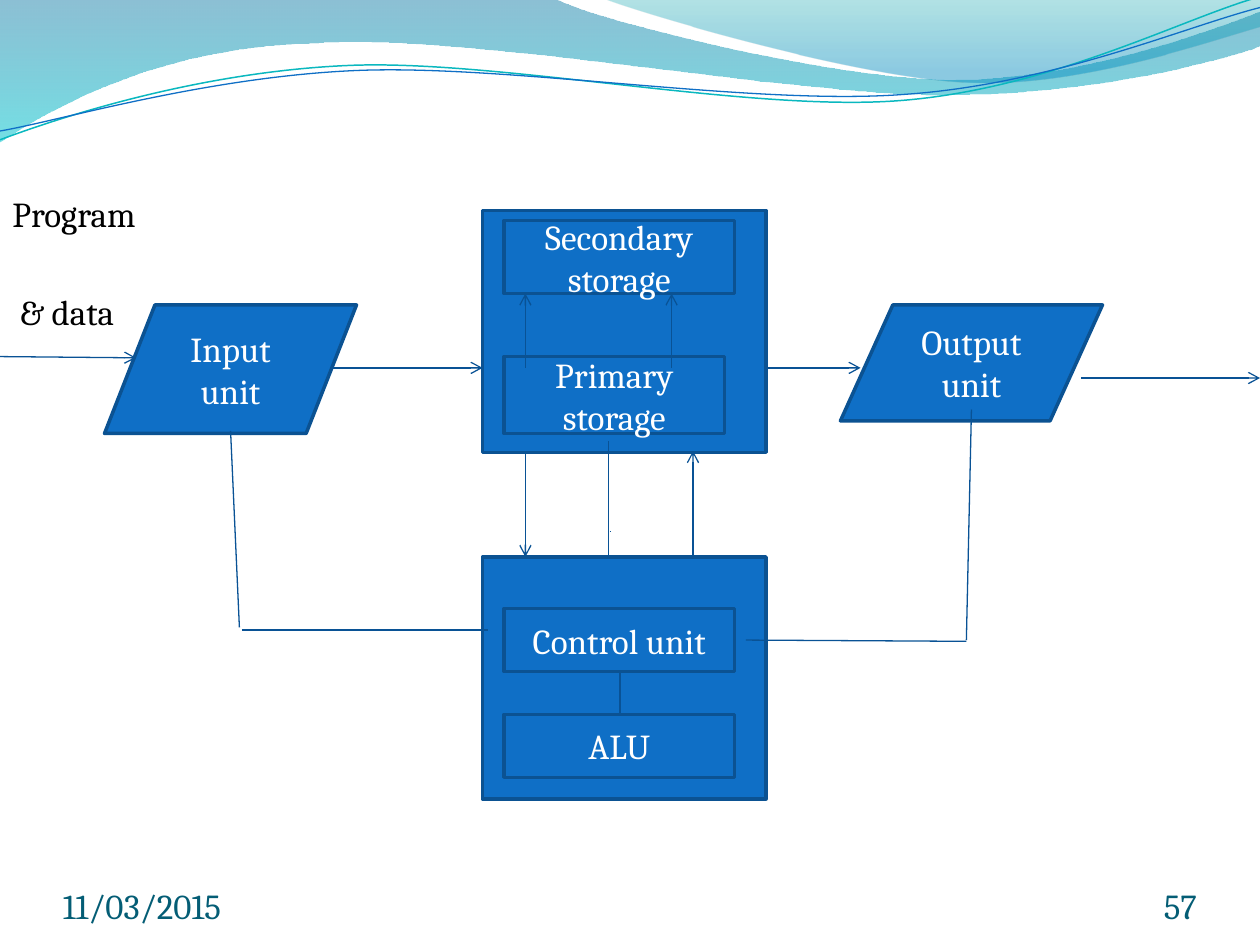
from pptx import Presentation
from pptx.dml.color import RGBColor
from pptx.enum.shapes import MSO_CONNECTOR, MSO_SHAPE
from pptx.enum.text import MSO_ANCHOR, PP_ALIGN
from pptx.oxml.ns import qn
from pptx.util import Pt
from lxml.etree import SubElement

PX = 9144  # EMU per px, 100 px to the inch
COLORS = {
    "box": "0F6FC6", "border": "0B5292", "arrow": "095295",
    "teal": "0AB8BF", "black": "000000", "white": "FFFFFF", "footer": "045D75",
}

prs = Presentation()
prs.slide_width, prs.slide_height = 1000 * PX, 750 * PX
slide = prs.slides.add_slide(prs.slide_layouts[6])
shapes = slide.shapes


def add_wave(start, segments, close):
    """Draw a path; a segment of one point is a line, one of three is a Bezier curve."""
    builder = shapes.build_freeform(*start, scale=PX)
    builder.add_line_segments([point for segment in segments for point in segment], close=close)
    wave = builder.convert_to_shape()
    wave.shadow.inherit = False
    steps = iter(list(wave._element.spPr.iter(qn("a:lnTo"))))
    for segment in segments:
        first, *others = [next(steps) for _ in segment]
        if others:
            first.tag = qn("a:cubicBezTo")
            for other in others:
                first.append(other[0])
                other.getparent().remove(other)
    return wave


def write(frame, lines, color, align):
    frame.word_wrap = True
    for index, line in enumerate(lines):
        paragraph = frame.paragraphs[0] if index == 0 else frame.add_paragraph()
        paragraph.alignment = align
        run = paragraph.add_run()
        run.text = line
        run.font.size = Pt(20)
        run.font.name = "Cambria"
        run.font.color.rgb = RGBColor.from_string(COLORS[color])


# Header waves: start, segments, (position, colour, opacity %) of both gradient stops
filled_waves = [
    ((0, 0), [
        [(440, -1)],
        [(476, 17), (664, 63), (758, 63)],
        [(853, 63), (958, 26), (1000, 9)],
        [(1001, 36)],
        [(983, 44), (870, 76), (746, 75)],
        [(622, 75), (382, 28), (257, 34)],
        [(129, 36), (46, 83), (-1, 113)],
    ], [(0, "0074A1", 45), (1, "00C6CF", 55)]),
    ((479, -1), [
        [(509, 11), (682, 62), (769, 65)],
        [(856, 69), (961, 32), (1000, 21)],
        [(1000, 0)],
    ], [(0, "00A1A9", 30), (0.8, "008BBF", 45)]),
]
for start, segments, stops in filled_waves:
    wave = add_wave(start, segments, close=True)
    wave.line.fill.background()
    wave.fill.gradient()
    wave.fill.gradient_angle = 270
    for stop, (position, color, _) in zip(wave.fill.gradient_stops, stops):
        stop.position = position
        stop.color.rgb = RGBColor.from_string(color)
    for color_element, (_, _, opacity) in zip(wave._element.spPr.iter(qn("a:srgbClr")), stops):
        SubElement(color_element, qn("a:alpha"), val=str(opacity * 1000))

wave_lines = [
    ((0, 111), [
        [(48, 93), (158, 57), (277, 52)],
        [(395, 47), (593, 89), (713, 80)],
        [(833, 71), (938, 15), (998, -2)],
    ], "teal", 0.85),
    ((0, 104), [
        [(47, 96), (164, 61), (283, 56)],
        [(403, 51), (597, 84), (717, 75)],
        [(836, 67), (941, 21), (1000, 6)],
    ], "box", 0.75),
]
for start, segments, color, width in wave_lines:
    wave = add_wave(start, segments, close=False)
    wave.fill.background()
    wave.line.color.rgb = RGBColor.from_string(COLORS[color])
    wave.line.width = Pt(width)

# Input caption
caption = shapes.add_textbox(0, 31 * PX, 1000 * PX, 719 * PX).text_frame
caption.margin_top = 122 * PX
write(caption, ["Program", "& data"], "black", PP_ALIGN.LEFT)
data_line = caption.paragraphs[1]
data_line.space_before = Pt(32)
data_line._p.get_or_add_pPr().set("marL", str(6 * PX))

# Footer
for left, width, text, align in [
    (50, 233, "11/03/2015", PP_ALIGN.LEFT),
    (867, 83, "57", PP_ALIGN.RIGHT),
]:
    footer = shapes.add_textbox(left * PX, 695 * PX, width * PX, 40 * PX).text_frame
    footer.margin_left = footer.margin_right = footer.margin_top = footer.margin_bottom = 0
    footer.vertical_anchor = MSO_ANCHOR.BOTTOM
    write(footer, [text], "footer", align)

# Units of the computer
units = [
    (MSO_SHAPE.FLOWCHART_DATA, 83, 242, 200, 102, "Input unit"),
    (MSO_SHAPE.RECTANGLE, 383, 167, 225, 192, ""),
    (MSO_SHAPE.FLOWCHART_DATA, 667, 242, 208, 92, "Output unit"),
    (MSO_SHAPE.RECTANGLE, 383, 442, 225, 192, ""),
    (MSO_SHAPE.RECTANGLE, 400, 175, 183, 58, "Secondary storage"),
    (MSO_SHAPE.RECTANGLE, 400, 283, 175, 61, "Primary storage"),
    (MSO_SHAPE.RECTANGLE, 400, 483, 183, 50, "Control unit"),
    (MSO_SHAPE.RECTANGLE, 400, 567, 183, 50, "ALU"),
]
for kind, left, top, width, height, label in units:
    unit = shapes.add_shape(kind, left * PX, top * PX, width * PX, height * PX)
    unit.shadow.inherit = False
    unit.fill.solid()
    unit.fill.fore_color.rgb = RGBColor.from_string(COLORS["box"])
    unit.line.color.rgb = RGBColor.from_string(COLORS["border"])
    unit.line.width = Pt(2)
    if label:
        unit.text_frame.vertical_anchor = MSO_ANCHOR.MIDDLE
        write(unit.text_frame, [label], "white", PP_ALIGN.CENTER)

# Data flow (arrows) and control links (plain lines)
arrows = [
    (0, 283, 108, 284), (263, 292, 383, 292), (608, 292, 683, 292), (858, 300, 1000, 300),
    (417, 292, 417, 233), (533, 292, 533, 233),
    (417, 358, 417, 442), (550, 442, 550, 358),
]
links = [
    (183, 342, 190, 498), (192, 500, 387, 500),
    (771, 325, 767, 508), (592, 508, 767, 509),
    (484, 422, 485, 422), (483, 442, 483, 350), (492, 533, 492, 567),
]
for ends in arrows + links:
    connector = shapes.add_connector(MSO_CONNECTOR.STRAIGHT, *(value * PX for value in ends))
    connector.line.color.rgb = RGBColor.from_string(COLORS["arrow"])
    connector.line.width = Pt(0.75)
    if ends in arrows:
        SubElement(connector.line._get_or_add_ln(), qn("a:tailEnd"), type="arrow")
    SubElement(connector._element.spPr, qn("a:effectLst"))

prs.save("out.pptx")
